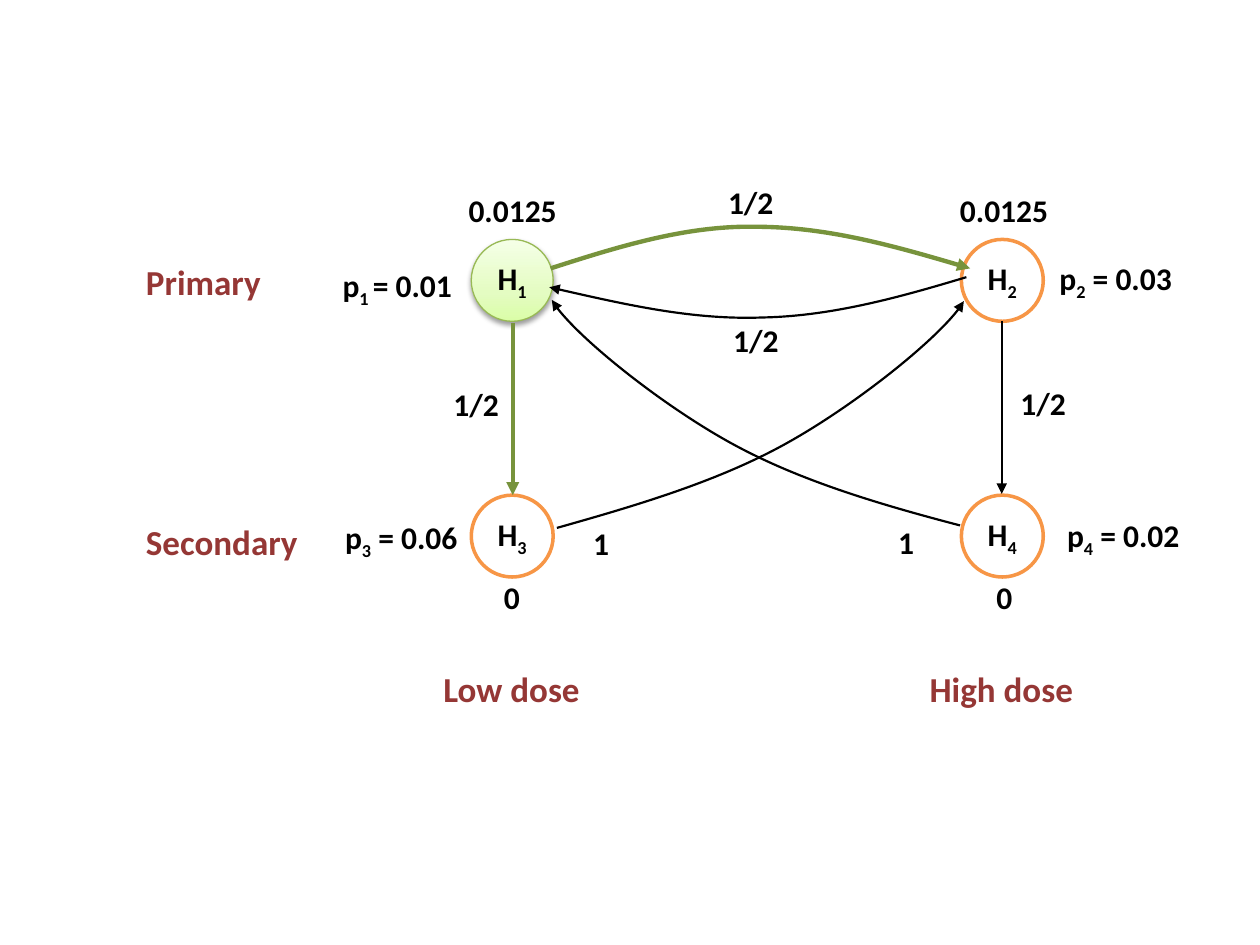
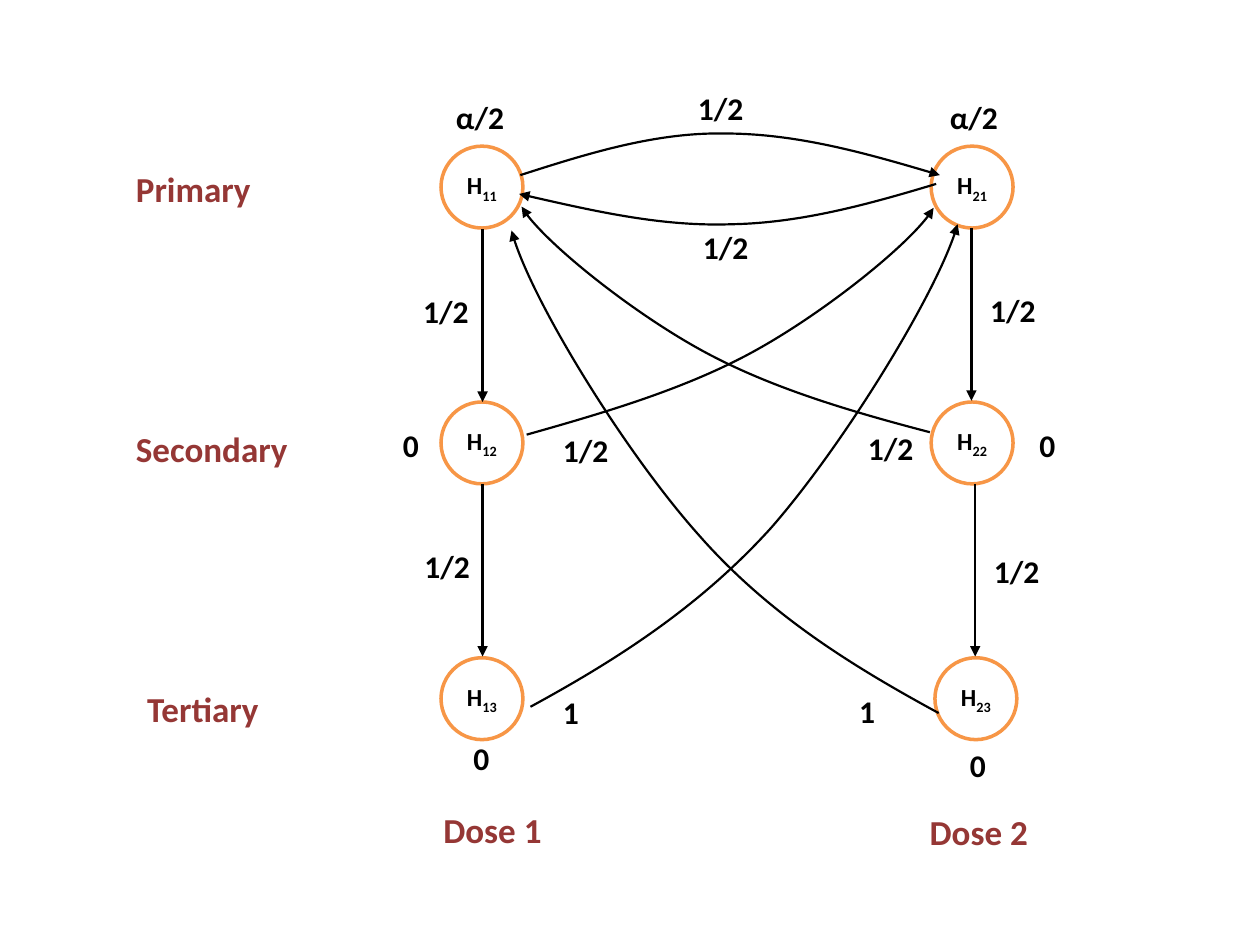
from lxml import etree
from pptx import Presentation
from pptx.dml.color import RGBColor
from pptx.enum.shapes import MSO_CONNECTOR, MSO_SHAPE
from pptx.enum.text import MSO_ANCHOR, MSO_AUTO_SIZE, PP_ALIGN
from pptx.oxml import parse_xml
from pptx.oxml.ns import nsdecls, qn
from pptx.util import Inches, Pt

OVAL, RECT = MSO_SHAPE.OVAL, MSO_SHAPE.RECTANGLE
STRAIGHT = MSO_CONNECTOR.STRAIGHT
MIDDLE, TOP = MSO_ANCHOR.MIDDLE, MSO_ANCHOR.TOP
CENTER, LEFT = PP_ALIGN.CENTER, PP_ALIGN.LEFT
GROW, FIXED = MSO_AUTO_SIZE.SHAPE_TO_FIT_TEXT, MSO_AUTO_SIZE.NONE

COLORS = {"white": "FFFFFF", "black": "000000", "heading": "953735",
          "ring": "F79646", "olive": "77933C", "start_ring": "98B955"}
START_STOPS = {0: "DAFDA7", 35: "E4FCC2", 100: "F5FFE7"}
FONT = {"name": "Calibri", "bold": True}
LABEL_FRAME = {"word_wrap": False, "auto_size": GROW, "vertical_anchor": TOP}
NODE_FRAME = {"word_wrap": False, "auto_size": FIXED, "vertical_anchor": MIDDLE,
              "margin_left": 0, "margin_right": 0, "margin_top": 0, "margin_bottom": 0}
ARROWS = {"plain": ("black", 1.25), "strong": ("olive", 2.5)}
WIDTHS = {"0": 0.33, "1": 0.33, "1/2": 0.57, "α/2": 0.59, "0.0125": 0.91,
          "Secondary": 1.42, "Tertiary": 1.1, "Low dose": 1.3, "High dose": 1.35,
          "Dose 1": 0.99, "Dose 2": 0.99}
DEFAULT_WIDTH = 1.12
NODE, COL_STEP, ROW_STEP = 0.65, 3.89, 2.03

ARC_OUT = [(0.63, 0.23), (1.16, 0.06), (1.7, -0.11), (2.25, -0.1),
           (2.81, -0.1), (3.39, 0.06), (3.96, 0.23)]
ARC_BACK = [(3.93, 0.3), (3.4, 0.46), (2.86, 0.61), (2.31, 0.62),
            (1.76, 0.64), (1.19, 0.51), (0.62, 0.38)]
RISE_LEFT = [(3.88, 2.27), (3.23, 2.1), (2.59, 1.91), (2.05, 1.61),
             (1.51, 1.31), (0.77, 0.72), (0.64, 0.48)]
RISE_RIGHT = [(0.68, 2.29), (1.32, 2.11), (1.96, 1.92), (2.5, 1.62),
              (3.04, 1.32), (3.78, 0.73), (3.91, 0.49)]
LONG_RIGHT = [(0.71, 4.45), (1.39, 4.08), (2.05, 3.66), (2.62, 3.03),
              (3.18, 2.39), (3.96, 1.13), (4.1, 0.62)]
LONG_LEFT = [(3.95, 4.5), (3.27, 4.13), (2.6, 3.72), (2.04, 3.08),
             (1.47, 2.44), (0.69, 1.18), (0.56, 0.67)]


def rgb(name):
    return RGBColor.from_string(COLORS[name])


def apply(target, values):
    for key, value in values.items():
        setattr(target, key, value)


def place(box, x, y):
    return Inches(box[0] + x), Inches(box[1] + y)


def write(sp, text, frame, size, color, align):
    tf = sp.text_frame
    apply(tf, frame)
    p = tf.paragraphs[0]
    p.alignment = align
    for i, part in enumerate(text.split("_")):
        r = p.add_run()
        r.text = part
        apply(r.font, {**FONT, "size": Pt(size)})
        r.font.color.rgb = rgb(color)
        if i % 2:
            r.font._element.set("baseline", "-25000")


def label(slide, box, text, x, y):
    width = Inches(WIDTHS.get(text, DEFAULT_WIDTH))
    sp = slide.shapes.add_textbox(*place(box, x, y), width, Inches(0.4))
    write(sp, text, LABEL_FRAME, 18, "black", LEFT)


def heading(slide, box, text, x, y):
    width = Inches(WIDTHS.get(text, DEFAULT_WIDTH))
    sp = slide.shapes.add_shape(RECT, *place(box, x, y), width, Inches(0.44))
    sp.shadow.inherit = False
    sp.fill.solid()
    sp.fill.fore_color.rgb = rgb("white")
    sp.line.fill.background()
    write(sp, text, LABEL_FRAME, 20, "heading", LEFT)


def node(slide, box, text, x, y, size):
    sp = slide.shapes.add_shape(OVAL, *place(box, x, y), Inches(NODE), Inches(NODE))
    sp.shadow.inherit = False
    sp.fill.solid()
    sp.fill.fore_color.rgb = rgb("white")
    sp.line.color.rgb = rgb("ring")
    sp.line.width = Pt(2)
    write(sp, text, NODE_FRAME, size, "black", CENTER)
    return sp


def highlight(sp):
    sp.fill.gradient()
    sp.fill.gradient_angle = 90
    stops = sp._element.spPr.find(".//" + qn("a:gsLst"))
    for stop in list(stops):
        stops.remove(stop)
    for pos, color in START_STOPS.items():
        gs = etree.SubElement(stops, qn("a:gs"), pos=str(pos * 1000))
        etree.SubElement(gs, qn("a:srgbClr"), val=color)
    sp.line.color.rgb = rgb("start_ring")
    sp.line.width = Pt(0.75)
    sp._element.spPr.find(qn("a:effectLst")).append(parse_xml(
        f'<a:outerShdw {nsdecls("a")} blurRad="39370" dist="20320" dir="5400000" '
        'rotWithShape="0"><a:srgbClr val="000000"><a:alpha val="38000"/>'
        '</a:srgbClr></a:outerShdw>'))


def finish_arrow(sp, kind):
    color, width = ARROWS[kind]
    sp.line.color.rgb = rgb(color)
    sp.line.width = Pt(width)
    spPr = sp._element.spPr
    etree.SubElement(spPr.find(qn("a:ln")), qn("a:tailEnd"), type="triangle")
    etree.SubElement(spPr, qn("a:effectLst"))


def down_arrow(slide, box, x, y, kind="plain"):
    sp = slide.shapes.add_connector(STRAIGHT, *place(box, x, y), *place(box, x, y + 1.37))
    finish_arrow(sp, kind)


def curve(slide, box, points, kind="plain"):
    start, *rest = [place(box, x, y) for x, y in points]
    builder = slide.shapes.build_freeform(*start)
    builder.add_line_segments(rest, close=False)
    sp = builder.convert_to_shape()
    path = sp._element.find(".//" + qn("a:path"))
    segments = path.findall(qn("a:lnTo"))
    for i in range(0, len(segments), 3):
        bezier = etree.SubElement(path, qn("a:cubicBezTo"))
        for segment in segments[i:i + 3]:
            bezier.append(segment[0])
            path.remove(segment)
    sp.fill.background()
    finish_arrow(sp, kind)


def two_stage_core(slide, box, names, size, top_value, top_x, cross, kind="plain"):
    nodes = [node(slide, box, name, i % 2 * COL_STEP, i // 2 * ROW_STEP, size)
             for i, name in enumerate(names)]
    for text, y in (("Primary", 0.12), ("Secondary", 2.18)):
        heading(slide, box, text, box[2], y)
    for x in top_x:
        label(slide, box, top_value, x, -0.43)
    down_arrow(slide, box, 0.33, 0.66, kind)
    down_arrow(slide, box, 4.21, 0.65)
    for points in (RISE_LEFT, RISE_RIGHT, ARC_BACK):
        curve(slide, box, points)
    curve(slide, box, ARC_OUT, kind)
    for text, x, y in (("1/2", -0.24, 1.11), ("1/2", 4.26, 1.1),
                       (cross, 0.87, 2.21), (cross, 3.29, 2.2),
                       ("1/2", 1.98, 0.6), ("1/2", 1.94, -0.5)):
        label(slide, box, text, x, y)
    return nodes


def dose_slide(slide, box):
    nodes = two_stage_core(slide, box, ["H_1", "H_2", "H_3", "H_4"], 18,
                           "0.0125", (-0.12, 3.78), "1", "strong")
    highlight(nodes[0])
    for text, x in (("Low dose", -0.32), ("High dose", 3.54)):
        heading(slide, box, text, x, 3.35)
    for text, x, y in (("0", 0.16, 2.64), ("0", 4.07, 2.64),
                       ("p_1 _= 0.01", -1.12, 0.16), ("p_3_ = 0.06", -1.1, 2.16),
                       ("p_2_ = 0.03", 4.57, 0.11), ("p_4_ = 0.02", 4.63, 2.15)):
        label(slide, box, text, x, y)


def three_stage_slide(slide, box):
    two_stage_core(slide, box, ["H_11", "H_21", "H_12", "H_22"], 14,
                   "α/2", (0.02, 3.94), "1/2")
    for text, x in (("H_13", 0), ("H_23", 3.92)):
        node(slide, box, text, x, 2 * ROW_STEP, 14)
    for text, x, y in (("Tertiary", -2.43, 4.25), ("Dose 1", -0.08, 5.21),
                       ("Dose 2", 3.78, 5.22)):
        heading(slide, box, text, x, y)
    for x in (0.33, 4.24):
        down_arrow(slide, box, x, 2.68)
    for points in (LONG_RIGHT, LONG_LEFT):
        curve(slide, box, points)
    for text, x, y in (("0", -0.4, 2.17), ("0", 4.65, 2.17),
                       ("0", 0.16, 4.66), ("0", 4.1, 4.71),
                       ("1/2", -0.23, 3.13), ("1/2", 4.29, 3.17),
                       ("1", 0.87, 4.29), ("1", 3.22, 4.28)):
        label(slide, box, text, x, y)


prs = Presentation()
prs.slide_width, prs.slide_height = Inches(10), Inches(7.5)
blank = prs.slide_layouts[6]
for build, box in ((dose_slide, (3.74, 1.9, -2.68)),
                   (three_stage_slide, (3.5, 1.16, -2.52))):
    build(prs.slides.add_slide(blank), box)
prs.save("out.pptx")
